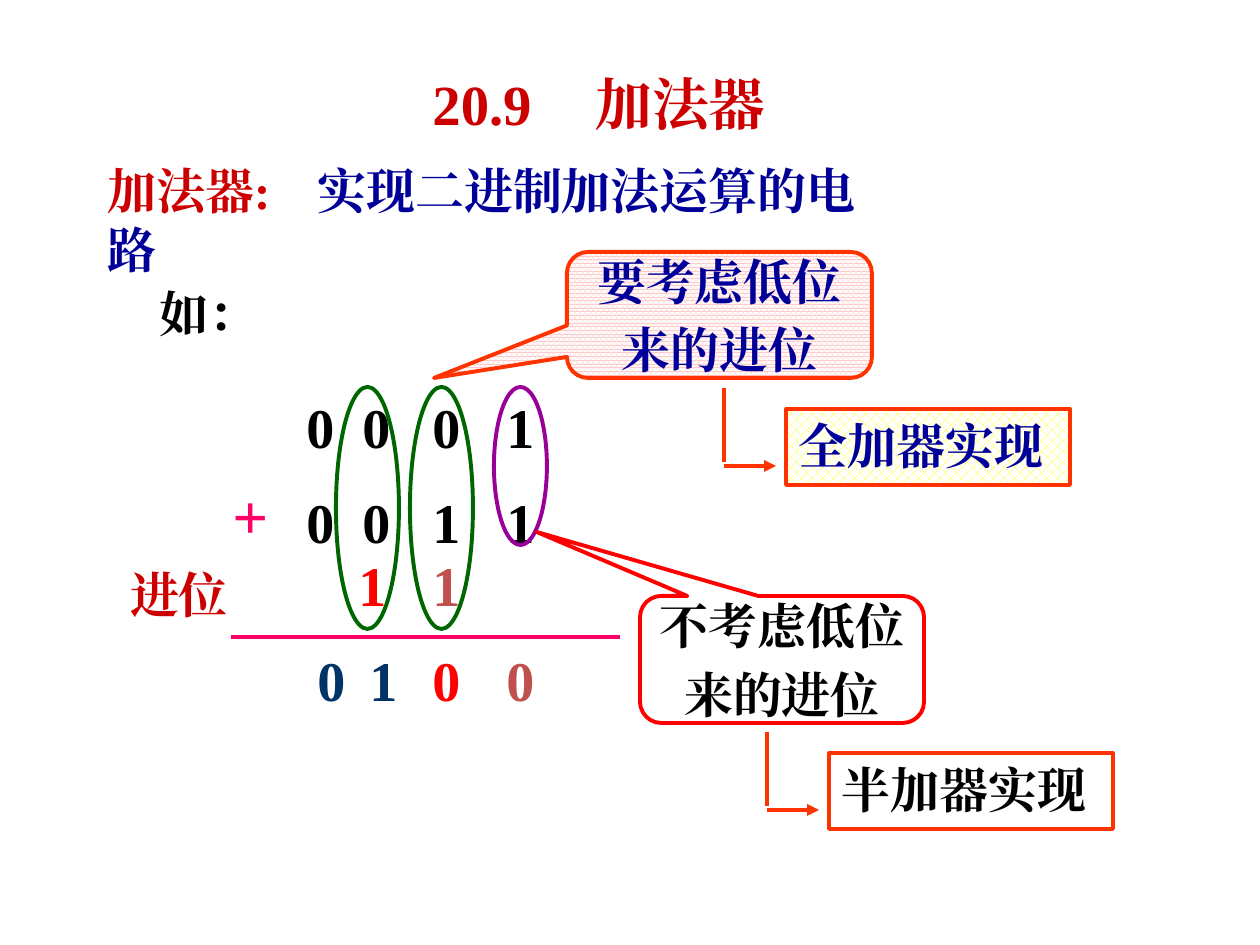
from lxml import etree
from pptx import Presentation, util as u
from pptx.dml.color import RGBColor
from pptx.enum import dml, shapes, text
from pptx.oxml import ns

PX = u.Inches(1) / 126
FONT, CJK_FONT = "Times New Roman", "Noto Sans CJK JP"
BLACK = RGBColor(0x00, 0x00, 0x00)
WHITE = RGBColor(0xFF, 0xFF, 0xFF)
RED = RGBColor(0xFF, 0x00, 0x00)
DARK_RED = RGBColor(0xCC, 0x00, 0x00)
BRICK = RGBColor(0xC0, 0x50, 0x4D)
BLUE = RGBColor(0x00, 0x00, 0x99)
NAVY = RGBColor(0x00, 0x33, 0x66)
GREEN = RGBColor(0x00, 0x66, 0x00)
PURPLE = RGBColor(0x99, 0x00, 0x99)
PINK = RGBColor(0xFF, 0x00, 0x66)
ORANGE = RGBColor(0xFF, 0x33, 0x00)
PALE_PINK = RGBColor(0xFF, 0xCC, 0xCC)
YELLOW = RGBColor(0xFF, 0xFF, 0x00)

presentation = Presentation()
presentation.slide_width, presentation.slide_height = u.Inches(10), u.Inches(7.5)
slide = presentation.slides.add_slide(presentation.slide_layouts[6])


def px(*lengths):
    return [round(length * PX) for length in lengths]


def write(shape, lines, color, size=28, align=text.PP_ALIGN.LEFT,
          anchor=text.MSO_ANCHOR.TOP, wrap=True, tab=None):
    """Fill a shape with bold lines; tab is the one tab stop in px."""
    frame = shape.text_frame
    frame.word_wrap = wrap
    frame.vertical_anchor = anchor
    frame.text = "\n".join(lines)
    for index, paragraph in enumerate(frame.paragraphs):
        paragraph.alignment = align
        if index:
            paragraph.space_before = u.Pt(5.6)
        if tab:
            properties = paragraph._p.get_or_add_pPr()
            stops = etree.SubElement(properties, ns.qn("a:tabLst"))
            etree.SubElement(stops, ns.qn("a:tab"), pos=str(px(tab)[0]), algn="l")
        font = paragraph.font
        font.name, font.size, font.bold = FONT, u.Pt(size), True
        font.color.rgb = color
        etree.SubElement(font._element, ns.qn("a:ea"), typeface=FONT)
    return frame.paragraphs[0]


# Headings and labels
title = slide.shapes.add_textbox(*px(420, 63, 462, 63))
paragraph = write(title, ["20.9\t"], DARK_RED, 32.4, tab=163)
run = paragraph.add_run()
run.text, run.font.name = "加法器", CJK_FONT

definition = slide.shapes.add_textbox(*px(95, 154, 805, 72))
paragraph = write(definition, ["加法器:\t"], DARK_RED, tab=210)
run = paragraph.add_run()
run.text, run.font.color.rgb = "实现二进制加法运算的电路", BLUE

write(slide.shapes.add_textbox(*px(147, 277, 123, 72)), ["如："], BLACK)
write(slide.shapes.add_textbox(*px(95, 558, 168, 72)), ["进位"], DARK_RED,
      align=text.PP_ALIGN.CENTER, anchor=text.MSO_ANCHOR.MIDDLE)
write(slide.shapes.add_textbox(*px(220, 470, 53, 88)), ["+"], PINK, 36)

# Binary addition: row top, then left edge, digit and colour of each column
addition = [
    (386, [(294, "0", BLACK), (350, "0", BLACK), (420, "0", BLACK), (494, "1", BLACK)]),
    (481, [(294, "0", BLACK), (350, "0", BLACK), (420, "1", BLACK), (494, "1", BLACK)]),
    (544, [(346, "1", RED), (420, "1", BRICK)]),
    (639, [(305, "0", NAVY), (357, "1", NAVY), (420, "0", RED), (494, "0", BRICK)]),
]
for top, digits in addition:
    for left, digit, color in digits:
        write(slide.shapes.add_textbox(*px(left, top, 53, 79)), [digit], color, 32)

for left, width, height, color in [(336, 63, 242, GREEN), (410, 63, 242, GREEN),
                                   (494, 53, 158, PURPLE)]:
    ellipse = slide.shapes.add_shape(shapes.MSO_SHAPE.OVAL, *px(left, 387, width, height))
    ellipse.shadow.inherit = False
    ellipse.fill.background()
    ellipse.line.color.rgb, ellipse.line.width = color, u.Pt(2.25)

# Callouts, each with the adder that it leads to
cases = [
    ((640, 596, 284, 127), (-0.864, -1.004, 0.167), "不考虑低位", RED, BLACK,
     (829, 753), "半加器实现", None, None),
    ((567, 252, 305, 126), (-0.936, 0.5, 0.167), "要考虑低位", ORANGE, BLUE,
     (786, 409), "全加器实现", ("pct80", PALE_PINK), ("pct40", YELLOW)),
]
lines = [((231, 637), (620, 637), PINK, False)]
for box, adjustments, condition, outline, ink, (left, top), adder, *patterns in cases:
    callout = slide.shapes.add_shape(shapes.MSO_SHAPE.ROUNDED_RECTANGULAR_CALLOUT, *px(*box))
    for index, value in enumerate(adjustments):
        callout.adjustments[index] = value
    result = slide.shapes.add_shape(shapes.MSO_SHAPE.RECTANGLE, *px(left, top, 284, 76))
    for shape, color, pattern in zip((callout, result), (outline, ORANGE), patterns):
        shape.shadow.inherit = False
        shape.line.color.rgb, shape.line.width = color, u.Pt(2.25)
        if pattern:
            preset, foreground = pattern
            shape.fill.patterned()
            shape.fill.pattern = dml.MSO_PATTERN.from_xml(preset)
            shape.fill.fore_color.rgb = foreground
            shape.fill.back_color.rgb = WHITE
        else:
            shape.fill.solid()
            shape.fill.fore_color.rgb = WHITE
    write(callout, [condition, "来的进位"], ink, align=text.PP_ALIGN.CENTER,
          anchor=text.MSO_ANCHOR.MIDDLE, wrap=False)
    write(result, [adder], ink)
    elbow_x, elbow_y = left - 62, top + 57
    lines += [((elbow_x, elbow_y - 78), (elbow_x, elbow_y - 4), ORANGE, False),
              ((elbow_x, elbow_y), (left - 10, elbow_y), ORANGE, True)]

for start, end, color, arrow in lines:
    connector = slide.shapes.add_connector(shapes.MSO_CONNECTOR.STRAIGHT, *px(*start, *end))
    connector.line.color.rgb, connector.line.width = color, u.Pt(2.25)
    if arrow:
        etree.SubElement(connector.line._get_or_add_ln(), ns.qn("a:tailEnd"), type="triangle")
    etree.SubElement(connector._element.spPr, ns.qn("a:effectLst"))

presentation.save("out.pptx")
